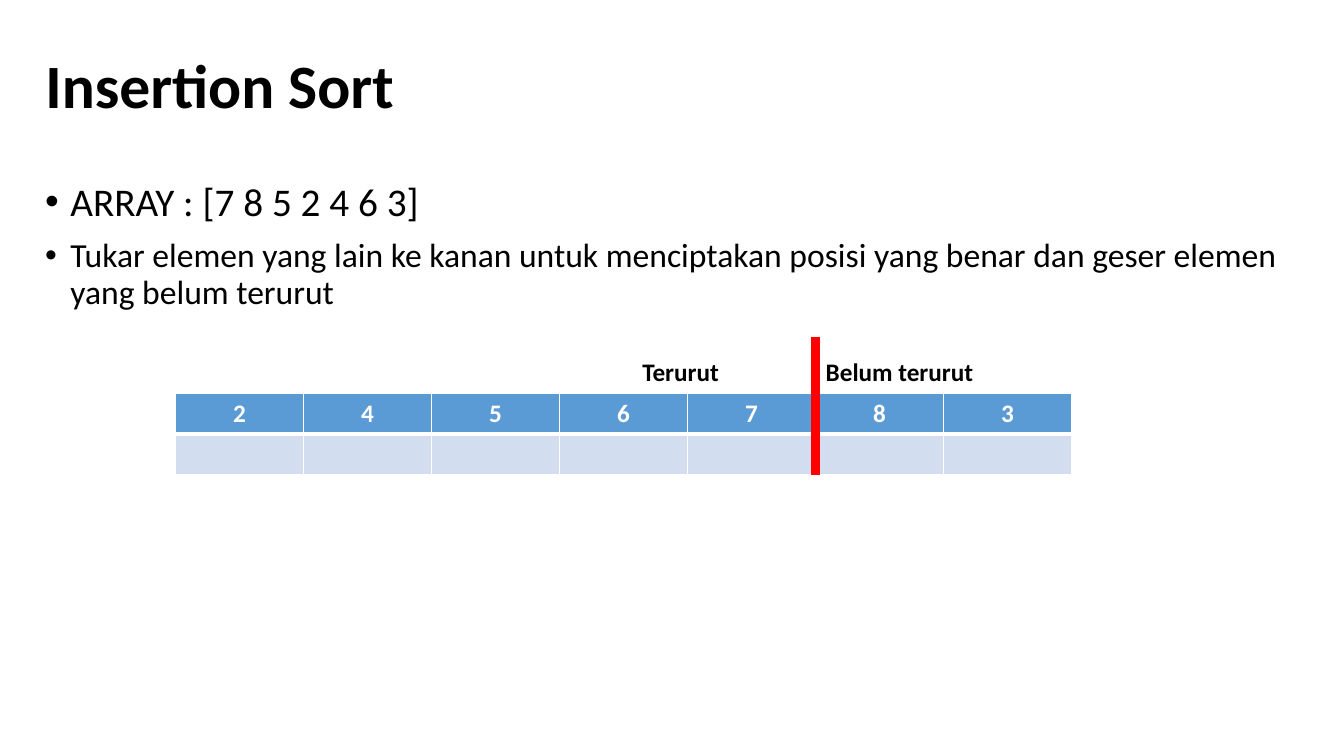
import pptx
import pptx.dml.color
import pptx.enum.shapes
import pptx.enum.text
import pptx.oxml
import pptx.oxml.ns
import pptx.util
from dataclasses import dataclass

HEADING = "Insertion Sort"
BULLETS = [
    ("ARRAY : [7 8 5 2 4 6 3]", 28),
    ("Tukar elemen yang lain ke kanan untuk menciptakan posisi yang benar "
     "dan geser elemen yang belum terurut", 24),
]
ARRAY = ["2", "4", "5", "6", "7", "8", "3"]
SORTED_COUNT = 5
LABELS = ["Terurut", "Belum terurut"]


@dataclass(frozen=True)
class Theme:
    font: str = "Calibri"
    ink: str = "000000"
    paper: str = "FFFFFF"
    header: str = "5B9BD5"
    band: str = "D2DEEF"
    divider: str = "FF0000"
    heading_size: int = 44
    cell_size: int = 18


THEME = Theme()
ALIGN = pptx.enum.text.PP_ALIGN
ANCHOR = pptx.enum.text.MSO_ANCHOR
inches = pptx.util.Inches

WIDTH, HEIGHT = 13.33, 7.5
MARGIN = 0.35
COLUMN, ROW = 1.27, 0.405
ARRAY_LEFT, ARRAY_TOP = 1.74, 3.9
LABEL_COLUMN = 1.82
DIVIDER_X = ARRAY_LEFT + SORTED_COUNT * COLUMN
DIVIDER_RISE = 0.56


def rgb(code):
    return pptx.dml.color.RGBColor.from_string(code)


def box(*lengths):
    return [inches(length) for length in lengths]


def write(paragraph, text, size, color=THEME.ink, bold=False, **layout):
    run = paragraph.add_run()
    run.text = text
    formats = {"name": THEME.font, "size": pptx.util.Pt(size), "bold": bold}
    for key, value in formats.items():
        setattr(run.font, key, value)
    run.font.color.rgb = rgb(color)
    for key, value in layout.items():
        setattr(paragraph, key, value)


def add_bullet(paragraph):
    properties = paragraph._p.get_or_add_pPr()
    properties.set("marL", str(inches(0.25)))
    properties.set("indent", str(inches(-0.25)))
    namespace = pptx.oxml.ns.nsdecls("a")
    for tag in ('buFont typeface="Arial"', 'buChar char="•"'):
        properties.append(pptx.oxml.parse_xml(f"<a:{tag.replace(' ', f' {namespace} ', 1)}/>"))


def set_borders(cell, bottom):
    widths = {"lnL": 1, "lnR": 1, "lnT": 1, "lnB": bottom}
    for side, width in widths.items():
        cell._tc.get_or_add_tcPr().append(pptx.oxml.parse_xml(
            f'<a:{side} {pptx.oxml.ns.nsdecls("a")} w="{pptx.util.Pt(width)}">'
            f'<a:solidFill><a:srgbClr val="{THEME.paper}"/></a:solidFill></a:{side}>'))


def add_grid(slide, left, top, column, rows, fills, color, align):
    """Add a table of equal cells; a fill of None leaves a row clear."""
    count = len(rows[0])
    table = slide.shapes.add_table(
        len(rows), count, *box(left, top, column * count, ROW * len(rows))).table
    table.first_row = table.horz_banding = False
    for part in table.columns:
        part.width = inches(column)
    for r, (texts, fill) in enumerate(zip(rows, fills)):
        for c, text in enumerate(texts):
            cell = table.cell(r, c)
            if fill:
                set_borders(cell, 3 if r == 0 else 1)
                cell.fill.solid()
                cell.fill.fore_color.rgb = rgb(fill)
            else:
                cell.fill.background()
            if text:
                write(cell.text_frame.paragraphs[0], text, THEME.cell_size,
                      color, True, alignment=align)


def main():
    deck = pptx.Presentation()
    deck.slide_width, deck.slide_height = box(WIDTH, HEIGHT)
    slide = deck.slides.add_slide(deck.slide_layouts[5])

    heading = slide.shapes.title
    heading.left, heading.top, heading.width, heading.height = box(MARGIN, 0.15, 10.98, 1.45)
    heading.text_frame.vertical_anchor = ANCHOR.MIDDLE
    write(heading.text_frame.paragraphs[0], HEADING, THEME.heading_size,
          bold=True, alignment=ALIGN.LEFT, line_spacing=0.9)

    body = slide.shapes.add_textbox(*box(MARGIN, 1.76, 12.66, 5.05)).text_frame
    body.word_wrap = True
    for i, (text, size) in enumerate(BULLETS):
        paragraph = body.add_paragraph() if i else body.paragraphs[0]
        write(paragraph, text, size, line_spacing=0.9, space_before=pptx.util.Pt(10))
        add_bullet(paragraph)

    add_grid(slide, ARRAY_LEFT, ARRAY_TOP, COLUMN, [ARRAY, [""] * len(ARRAY)],
             [THEME.header, THEME.band], THEME.paper, ALIGN.CENTER)
    add_grid(slide, DIVIDER_X - LABEL_COLUMN, ARRAY_TOP - ROW, LABEL_COLUMN, [LABELS],
             [None], THEME.ink, ALIGN.LEFT)

    divider = slide.shapes.add_connector(
        pptx.enum.shapes.MSO_CONNECTOR.STRAIGHT,
        *box(DIVIDER_X, ARRAY_TOP - DIVIDER_RISE, DIVIDER_X, ARRAY_TOP + 2 * ROW))
    divider.line.color.rgb = rgb(THEME.divider)
    divider.line.width = pptx.util.Pt(6)
    divider._element.spPr.append(
        pptx.oxml.parse_xml(f'<a:effectLst {pptx.oxml.ns.nsdecls("a")}/>'))

    deck.save("out.pptx")


if __name__ == "__main__":
    main()
